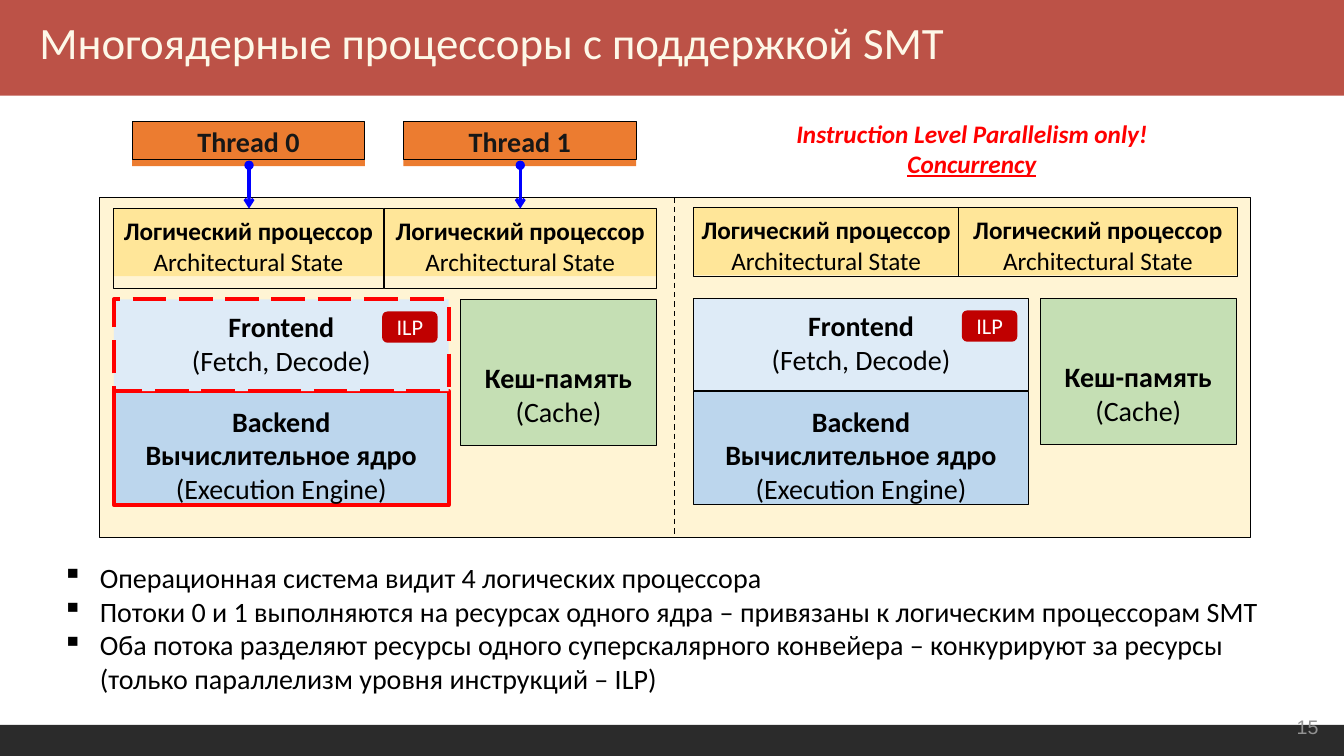
from lxml import etree
from pptx import Presentation
from pptx.dml.color import RGBColor
from pptx.enum import dml, shapes, text
from pptx.oxml import ns
from pptx.util import Inches, Pt

COLORS = {
    "title_bar": "BC5247", "title": "FDF8E8", "footer": "2B2B2B", "number": "929292",
    "panel": "FFD966", "logical": "FFE699", "frontend": "DEEBF7", "backend": "BCD6ED",
    "cache": "C5DFB4", "ilp": "C00000", "thread": "EC7C30", "thread_text": "171717",
    "arrow": "0000FF", "red": "FF0000", "black": "000000", "white": "FFFFFF",
}
TITLE = "Многоядерные процессоры с поддержкой SMT"
NOTE = ["Instruction Level Parallelism only!", "Concurrency"]
LOGICAL = [("Логический процессор", True), ("Architectural State", False)]
FRONTEND = [("Frontend", True), ("(Fetch, Decode)", False)]
BACKEND = [("Backend", True), ("Вычислительное ядро", True), ("(Execution Engine)", False)]
CACHE = [("Кеш-память", True), ("(Cache)", False)]
BULLETS = [
    "Операционная система видит 4 логических процессора",
    "Потоки 0 и 1 выполняются на ресурсах одного ядра – привязаны к логическим процессорам SMT",
    "Оба потока разделяют ресурсы одного суперскалярного конвейера – конкурируют за ресурсы "
    "(только параллелизм уровня инструкций – ILP)",
]
PANEL = (0.99, 1.96, 11.41, 3.37)
CORES = [
    {"x": 1.13, "top": 2.97, "logical": [(1.13, 2.67), (3.81, 2.7)],
     "logical_y": 2.07, "frame_h": 0.79, "line": "red", "width": 3, "dashed": True},
    {"x": 6.88, "top": 2.96, "logical": [(6.88, 2.63), (9.51, 2.76)],
     "logical_y": 2.06, "frame_h": 0.68, "line": "black", "width": 0.71, "dashed": False},
]
THREADS = [("Thread 0", 1.31, 2.47), ("Thread 1", 4.0, 5.16)]
THIN = 0.71


def rgb(name):
    return RGBColor.from_string(COLORS[name])


def write(sp, lines, size, color="black", inset=0, align="CENTER", font="Calibri"):
    tf = sp.text_frame
    tf.word_wrap = True
    tf.vertical_anchor = text.MSO_ANCHOR.TOP
    tf.margin_left = tf.margin_right = tf.margin_bottom = 0
    tf.margin_top = Inches(inset)
    for i, (line, bold) in enumerate(lines):
        p = tf.paragraphs[0] if i == 0 else tf.add_paragraph()
        p.text = line
        p.alignment = getattr(text.PP_ALIGN, align)
        p.font.size, p.font.bold, p.font.name = Pt(size), bold, font
        p.font.color.rgb = rgb(color)
    return tf


def box(slide, at, fill=None, line=None, width=THIN, dash=None, kind="RECTANGLE"):
    sp = slide.shapes.add_shape(getattr(shapes.MSO_SHAPE, kind), *map(Inches, at))
    sp.shadow.inherit = False
    if fill:
        sp.fill.solid()
        sp.fill.fore_color.rgb = rgb(fill)
    else:
        sp.fill.background()
    if line:
        sp.line.color.rgb = rgb(line)
        sp.line.width = Pt(width)
        if dash:
            sp.line.dash_style = dash
    else:
        sp.line.fill.background()
    return sp


def label(slide, at, lines, size, **style):
    return write(slide.shapes.add_textbox(*map(Inches, at)), lines, size, **style)


def connector(slide, x, y1, y2, color, width):
    cn = slide.shapes.add_connector(
        shapes.MSO_CONNECTOR.STRAIGHT, Inches(x), Inches(y1), Inches(x), Inches(y2))
    cn.line.color.rgb = rgb(color)
    cn.line.width = Pt(width)
    etree.SubElement(cn._element.spPr, ns.qn("a:effectLst"))
    return cn


def draw_core(slide, core):
    x, top = core["x"], core["top"]
    for left, w in core["logical"]:
        sp = box(slide, (left, core["logical_y"], w, 0.67), "logical")
        write(sp, LOGICAL, 18, inset=0.07)
        box(slide, (left, core["logical_y"], w, core["frame_h"]), None, "black")
    sp = box(slide, (x, 3.88, 3.32, 1.13), "backend", core["line"], core["width"])
    write(sp, BACKEND, 20, inset=0.13)
    sp = box(slide, (x + 3.44, top, 1.94, 1.45), "cache", "black")
    write(sp, CACHE, 20, inset=0.61)
    dash = dml.MSO_LINE.LONG_DASH if core["dashed"] else None
    sp = box(slide, (x, top, 3.32, 0.91), "frontend", core["line"], core["width"], dash)
    write(sp, FRONTEND, 20, inset=0.1)
    sp = box(slide, (x + 2.66, top + 0.12, 0.55, 0.31), "ilp", kind="ROUNDED_RECTANGLE")
    sp.adjustments[0] = 0.17
    write(sp, [("ILP", False)], 16, color="white")


def draw_thread(slide, name, left, arrow_x):
    box(slide, (left, 1.21, 2.31, 0.44), "thread")
    sp = box(slide, (left, 1.21, 2.31, 0.37), None, "black")
    write(sp, [(name, True)], 20, color="thread_text", inset=0.03)
    cn = connector(slide, arrow_x, 1.64, 2.07, "arrow", 2.25)
    ln = cn.line._get_or_add_ln()
    for tag, kind in (("headEnd", "oval"), ("tailEnd", "arrow")):
        etree.SubElement(ln, ns.qn("a:" + tag), type=kind)


def draw_bullets(slide):
    tf = label(slide, (0.6, 5.46, 12, 1.6), [(b, False) for b in BULLETS], 20,
               inset=0.1, align="LEFT")
    for p in tf.paragraphs:
        pPr = p._p.get_or_add_pPr()
        pPr.set("marL", str(Inches(0.39)))
        pPr.set("indent", str(Inches(-0.37)))
        mark = etree.Element(ns.qn("a:buChar"), char="▪")
        pPr.insert(0, mark)


def main():
    prs = Presentation()
    prs.slide_width, prs.slide_height = Inches(13.33), Inches(7.5)
    slide = prs.slides.add_slide(prs.slide_layouts[6])

    box(slide, (0, 7.19, 13.33, 0.31), "footer")
    box(slide, (0, 0, 13.33, 0.95), "title_bar")
    label(slide, (0.39, 0.14, 12, 0.7), [(TITLE, False)], 32,
          color="title", inset=0.01, align="LEFT")

    panel = box(slide, PANEL, "panel", "black")
    clr = panel._element.spPr.find(ns.qn("a:solidFill"))[0]
    etree.SubElement(clr, ns.qn("a:alpha"), val="28000")
    divider = connector(slide, 6.69, 1.96, 5.33, "black", 0.96)
    divider.line.dash_style = dml.MSO_LINE.DASH

    for core in CORES:
        draw_core(slide, core)
    for thread in THREADS:
        draw_thread(slide, *thread)

    note = label(slide, (7.88, 1.16, 3.52, 0.61), [(n, True) for n in NOTE], 18,
                 color="red", inset=0.01)
    for p in note.paragraphs:
        p.font.italic = True
    note.paragraphs[1].font.underline = True

    draw_bullets(slide)
    number = label(slide, (12.86, 7.26, 0.22, 0.23), [("15", False)], 14,
                   color="number", align="LEFT", font="Arial")
    number.word_wrap = False
    number.paragraphs[0].line_spacing = Pt(5.1)
    prs.save("out.pptx")


if __name__ == "__main__":
    main()
